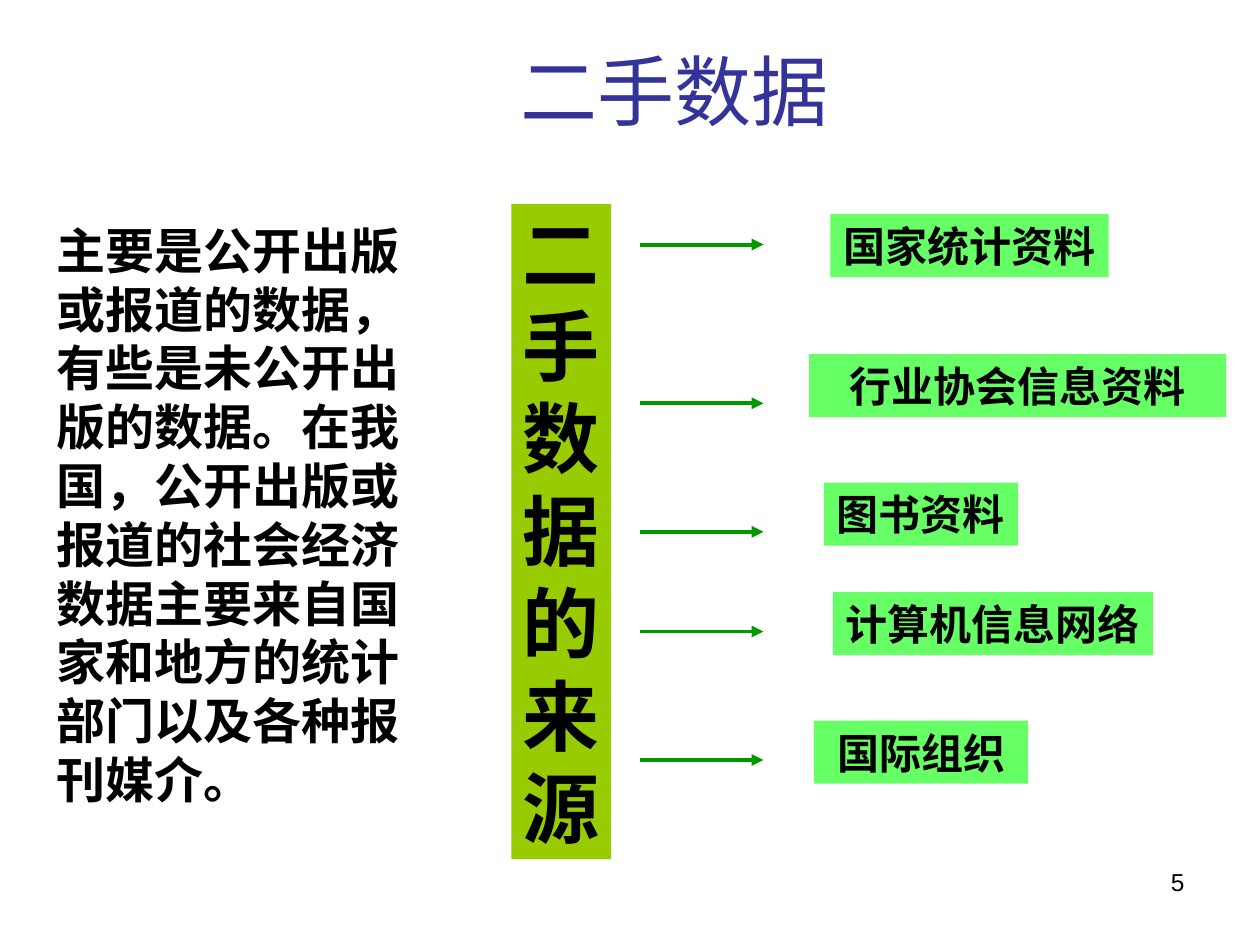
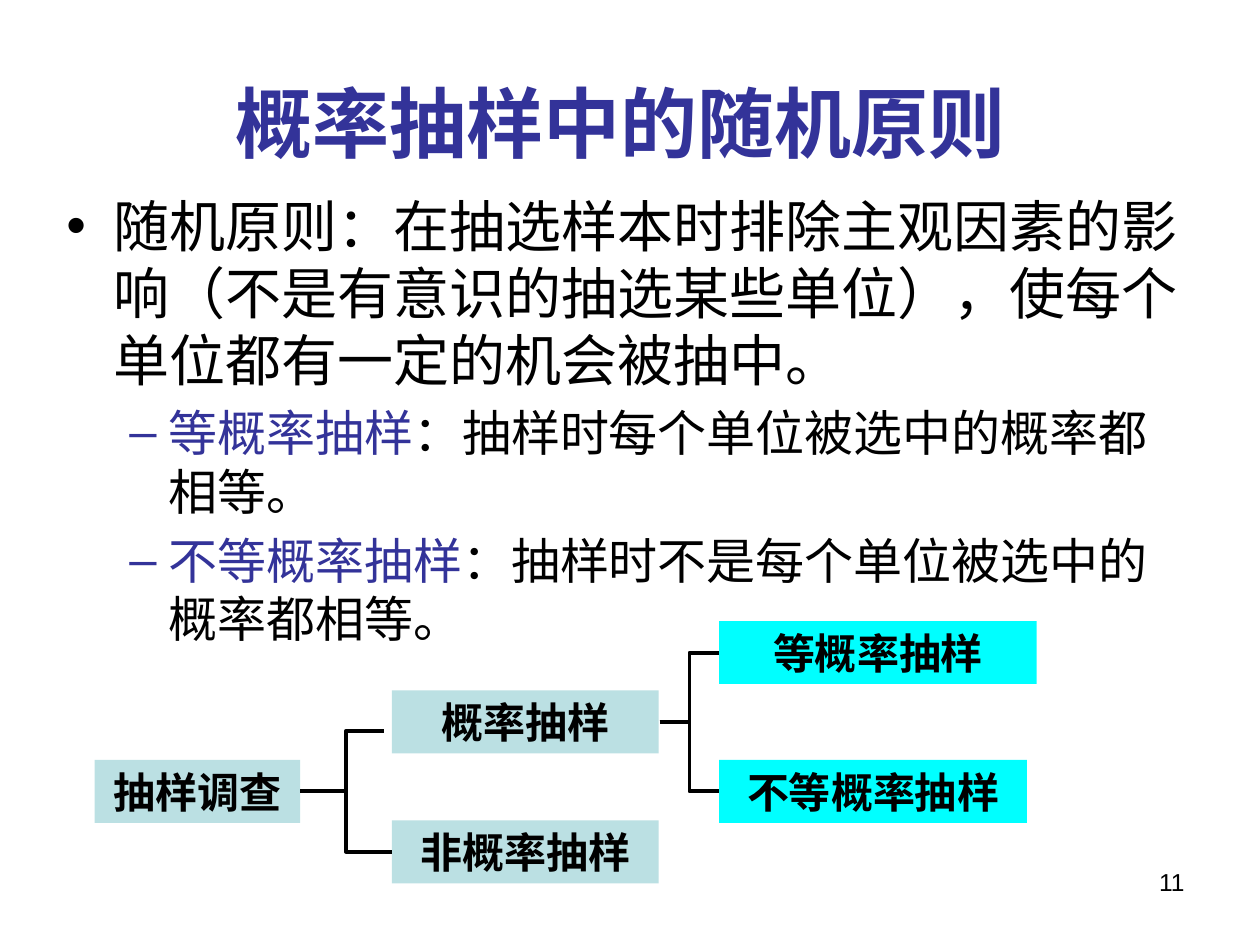
from lxml.etree import SubElement
from pptx import Presentation
from pptx.dml.color import RGBColor
from pptx.enum.shapes import MSO_CONNECTOR as CONN, MSO_SHAPE as SHAPE
from pptx.enum.text import MSO_ANCHOR as ANCHOR, MSO_AUTO_SIZE as AUTO, PP_ALIGN as ALIGN
from pptx.oxml.ns import qn
from pptx.util import Cm, Pt

rgb = RGBColor.from_string
BLACK, BLUE, GREEN = "000000", "333399", "009900"
LABEL_GREEN, BAR_GREEN, PALE, CYAN = "66FF66", "99CC00", "BBE0E3", "00FFFF"
CJK = "Noto Sans CJK SC"
LABEL_HEIGHT = 1.27


def add_run(p, text, size, font="Arial", color=BLACK, bold=False):
    """Add a run with matching Latin and East Asian fonts and even line pitch."""
    r = p.add_run()
    r.text = text
    r.font.name, r.font.size, r.font.bold = font, Pt(size), bold
    r.font.color.rgb = rgb(color)
    SubElement(r.font._element, qn("a:ea"), typeface=CJK)
    p.line_spacing = Pt(size * 1.2)


def add_box(s, x, y, w, h, fill=None):
    """Add a text box, or a filled rectangle, and return its text frame."""
    at = Cm(x), Cm(y), Cm(w), Cm(h)
    if fill:
        sp = s.shapes.add_shape(SHAPE.RECTANGLE, *at)
        sp.shadow.inherit = False
        sp.fill.solid()
        sp.fill.fore_color.rgb = rgb(fill)
        sp.line.fill.background()
    else:
        sp = s.shapes.add_textbox(*at)
    sp.text_frame.word_wrap = True
    return sp.text_frame


prs = Presentation()
prs.slide_width, prs.slide_height = Cm(25.4), Cm(19.05)

# Titles and page numbers
slides = []
for title, at, anchor, bold, number in [
    ("二手数据", (9.09, 1.32, 9.02, 0.99), ANCHOR.MIDDLE, False, "5"),
    ("概率抽样中的随机原则", (1.09, 0.33, 22.86, 3.18), ANCHOR.BOTTOM, True, "11"),
]:
    s = prs.slides.add_slide(prs.slide_layouts[5])
    sp = s.shapes.title
    sp.left, sp.top, sp.width, sp.height = map(Cm, at)
    tf = sp.text_frame
    tf.auto_size, tf.vertical_anchor = AUTO.NONE, anchor
    p = tf.paragraphs[0]
    p.alignment = ALIGN.CENTER
    add_run(p, title, 44, color=BLUE, bold=bold)

    p = add_box(s, 18.21, 17.35, 5.92, 1.32).paragraphs[0]
    p.alignment = ALIGN.RIGHT
    add_run(p, number, 14)
    slides.append(s)
sources, sampling = slides

# Secondary data: description and vertical bar
p = add_box(sources, 0.89, 4.32, 7.8, 12.12).paragraphs[0]
add_run(p, "主要是公开出版或报道的数据，有些是未公开出版的数据。在我国，公开出版或报道的"
           "社会经济数据主要来自国家和地方的统计部门以及各种报刊媒介。", 28, CJK, bold=True)

tf = add_box(sources, 10.31, 4.11, 2.01, 13.21, BAR_GREEN)
tf.vertical_anchor = ANCHOR.BOTTOM
tf.margin_left = tf.margin_right = Cm(0.2)
p = tf.paragraphs[0]
p.alignment = ALIGN.CENTER
add_run(p, "二手数据的来源", 44, bold=True)

# Random principle: bulleted text
tf = add_box(sampling, 1.09, 3.73, 23.01, 9.4)
for i, (bullet, indent, hang, size, term, text) in enumerate([
    ("•", 0.95, 0.95, 32, "",
     "随机原则：在抽选样本时排除主观因素的影响（不是有意识的抽选某些单位），使每个单位都有一定的机会被抽中。"),
    ("–", 2.06, 0.79, 28, "等概率抽样", "：抽样时每个单位被选中的概率都相等。"),
    ("–", 2.06, 0.79, 28, "不等概率抽样", "：抽样时不是每个单位被选中的概率都相等。"),
]):
    p = tf.add_paragraph() if i else tf.paragraphs[0]
    pPr = p._p.get_or_add_pPr()
    pPr.set("marL", str(Cm(indent)))
    pPr.set("indent", str(-Cm(hang)))
    SubElement(pPr, qn("a:buFont"), typeface="Arial")
    SubElement(pPr, qn("a:buChar"), char=bullet)
    if i:
        p.level = 1
        p.space_before = Pt(5.6)
        add_run(p, term, size, color=BLUE)
    add_run(p, text, size)

# Labels of both diagrams
for s, text, x, y, w, fill in [
    (sources, "国家统计资料", 16.74, 4.32, 5.61, LABEL_GREEN),
    (sources, "行业协会信息资料", 16.31, 7.14, 8.41, LABEL_GREEN),
    (sources, "图书资料", 16.61, 9.73, 3.91, LABEL_GREEN),
    (sources, "计算机信息网络", 16.79, 11.94, 6.45, LABEL_GREEN),
    (sources, "国际组织", 16.41, 14.53, 4.32, LABEL_GREEN),
    (sampling, "抽样调查", 1.91, 15.32, 4.14, PALE),
    (sampling, "非概率抽样", 7.9, 16.54, 5.38, PALE),
    (sampling, "概率抽样", 7.9, 13.92, 5.38, PALE),
    (sampling, "不等概率抽样", 14.5, 15.32, 6.2, CYAN),
    (sampling, "等概率抽样", 14.5, 12.52, 6.4, CYAN),
]:
    tf = add_box(s, x, y, w, LABEL_HEIGHT, fill)
    tf.word_wrap = False
    p = tf.paragraphs[0]
    p.alignment = ALIGN.CENTER
    add_run(p, text, 24, "Times New Roman", bold=True)

# Arrows to the sources and branches of the sampling tree
arrows = [(12.9, y, 15.39, y) for y in (4.93, 8.13, 10.72, 12.73, 15.32)]
branches = [
    (6.05, 15.95, 7.75, 14.73),
    (7.9, 17.17, 6.05, 15.95),
    (13.3, 14.55, 14.5, 13.16),
    (13.3, 14.55, 14.5, 15.95),
]
for s, kind, color, ends in [
    (sources, CONN.STRAIGHT, GREEN, arrows),
    (sampling, CONN.ELBOW, BLACK, branches),
]:
    for end in ends:
        cn = s.shapes.add_connector(kind, *map(Cm, end))
        cn.line.color.rgb = rgb(color)
        cn.line.width = Pt(2.25)
        spPr = cn._element.spPr
        SubElement(spPr, qn("a:effectLst"))
        if kind == CONN.STRAIGHT:
            SubElement(cn.line._get_or_add_ln(), qn("a:tailEnd"), type="triangle")
        elif end == branches[0]:
            # This branch ends short of its label, so its bend lies past the middle
            guides = spPr.find(qn("a:prstGeom")).get_or_add_avLst()
            SubElement(guides, qn("a:gd"), name="adj1", fmla="val 55000")

prs.save("out.pptx")
